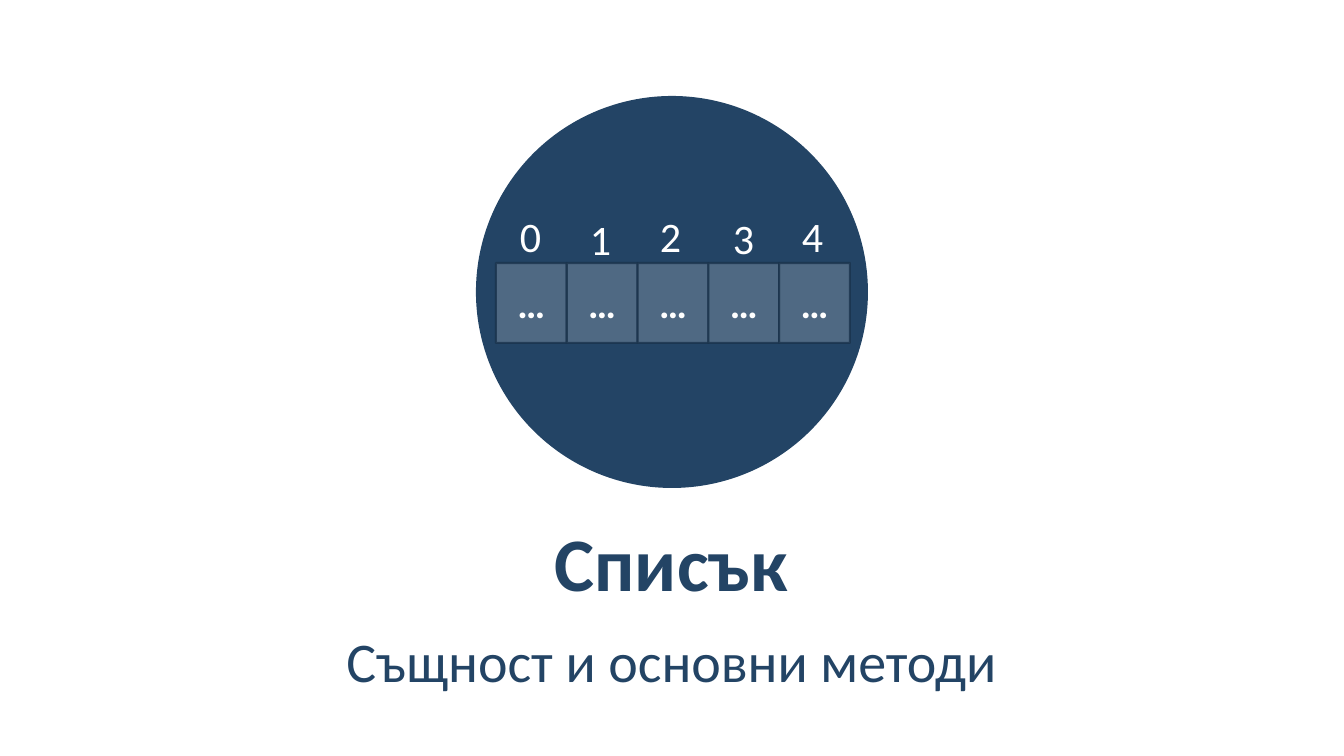
from lxml import etree
from pptx import Presentation
from pptx.dml.color import RGBColor
from pptx.enum import shapes, text
from pptx.oxml import ns
from pptx.util import Pt

# Content
CELL = "…"
DIGITS = [("0", 504, 194), ("1", 574, 196), ("2", 644, 194),
          ("3", 717, 195), ("4", 786, 194)]  # label, left, top
HEADS = [("Същност и основни методи", 616, 40, False, 1.05, 6),
         ("Списък", 519, 54, True, 1.0, 0)]  # text, top, size, bold, line, gap

# Layout in px
WIDE, HIGH = 1344, 756
DISC = (476, 96, 392, 392)
ROW = (496, 263, 354, 80)
DIGIT = (53, 78)
HEAD = (67, 1209, 85)

NAVY = RGBColor(0x23, 0x44, 0x65)
EDGE = RGBColor(0x1A, 0x33, 0x4C)
WHITE = RGBColor(0xFF, 0xFF, 0xFF)


def px(n):
    return round(n * 914400 / 100.8)


def fade(part, pct):
    color = part._xPr.find(".//" + ns.qn("a:srgbClr"))
    etree.SubElement(color, ns.qn("a:alpha"), val=str(pct * 1000))


def draw(kind, box, fill):
    shape = slide.shapes.add_shape(kind, *map(px, box))
    shape.shadow.inherit = False
    shape.fill.solid()
    shape.fill.fore_color.rgb = fill
    shape.line.fill.background()
    return shape


def write(shape, words, size, color, bold, align, pad):
    frame = shape.text_frame
    frame.margin_left = frame.margin_right = px(pad[0])
    frame.margin_top = frame.margin_bottom = px(pad[1])
    para = frame.paragraphs[0]
    para.text = words
    para.alignment = align
    font = para.font
    font.name, font.size, font.bold = "Calibri", Pt(size), bold
    font.color.rgb = color
    return frame, para


deck = Presentation()
deck.slide_width, deck.slide_height = px(WIDE), px(HIGH)
slide = deck.slides.add_slide(deck.slide_layouts[6])
MID, LEFT = text.PP_ALIGN.CENTER, text.PP_ALIGN.LEFT

# Disc
draw(shapes.MSO_SHAPE.OVAL, DISC, NAVY)

# List cells
left, top, width, height = ROW
step = width / len(DIGITS)
for i in range(len(DIGITS)):
    cell = draw(shapes.MSO_SHAPE.RECTANGLE,
                (left + i * step, top, step, height), WHITE)
    fade(cell.fill, 20)
    cell.line.color.rgb = EDGE
    cell.line.width = Pt(1.5)
    fade(cell.line.fill, 80)
    frame, para = write(cell, CELL, 28, WHITE, True, MID, (10, 5))
    frame.vertical_anchor = text.MSO_ANCHOR.MIDDLE

# Index digits
for label, x, y in DIGITS:
    box = slide.shapes.add_textbox(*map(px, (x, y, *DIGIT)))
    frame, para = write(box, label, 30, WHITE, False, LEFT, (16, 12))
    frame.word_wrap = False
    frame.auto_size = text.MSO_AUTO_SIZE.SHAPE_TO_FIT_TEXT
    para.line_spacing = 1.1

# Title and subtitle
x, width, height = HEAD
for words, y, size, bold, line, gap in HEADS:
    box = slide.shapes.add_textbox(*map(px, (x, y, width, height)))
    frame, para = write(box, words, size, NAVY, bold, MID, (12, 4))
    frame.word_wrap = True
    frame.vertical_anchor = text.MSO_ANCHOR.MIDDLE
    para.line_spacing = line
    para.space_before = para.space_after = Pt(gap)

deck.save("out.pptx")
